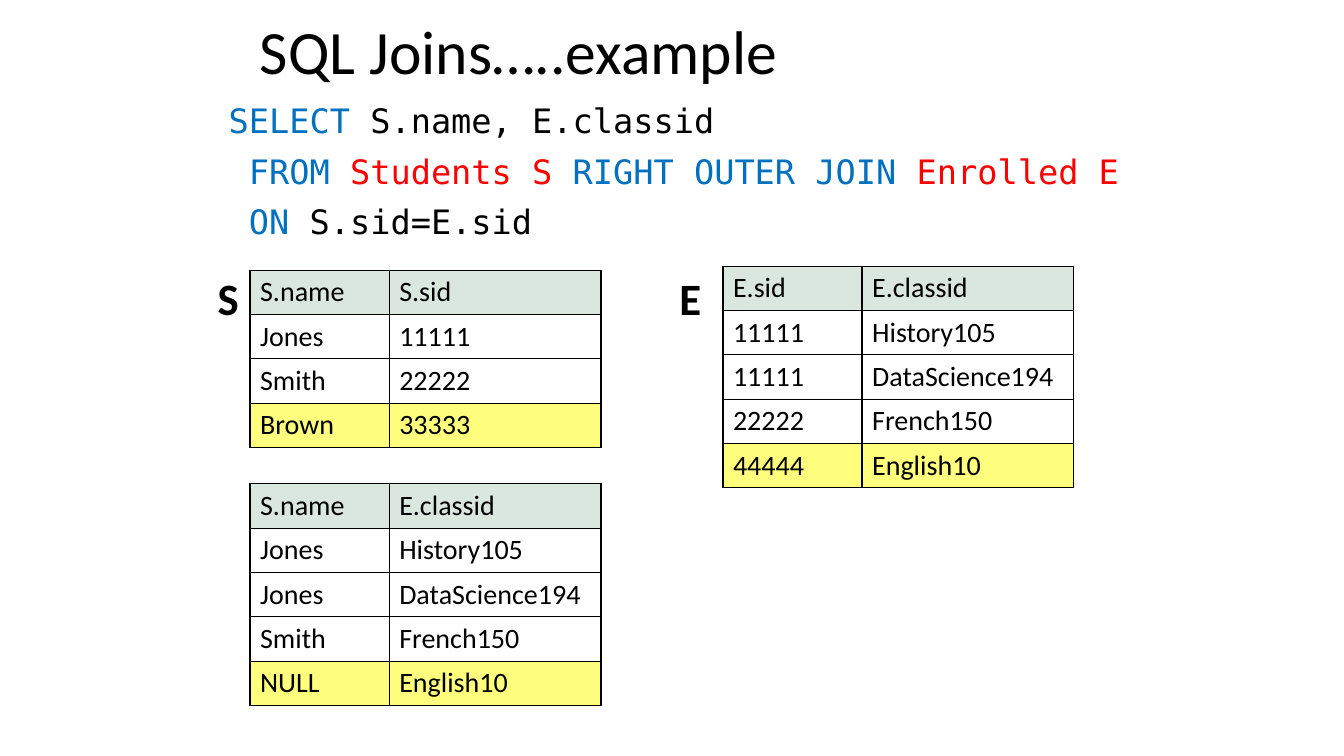
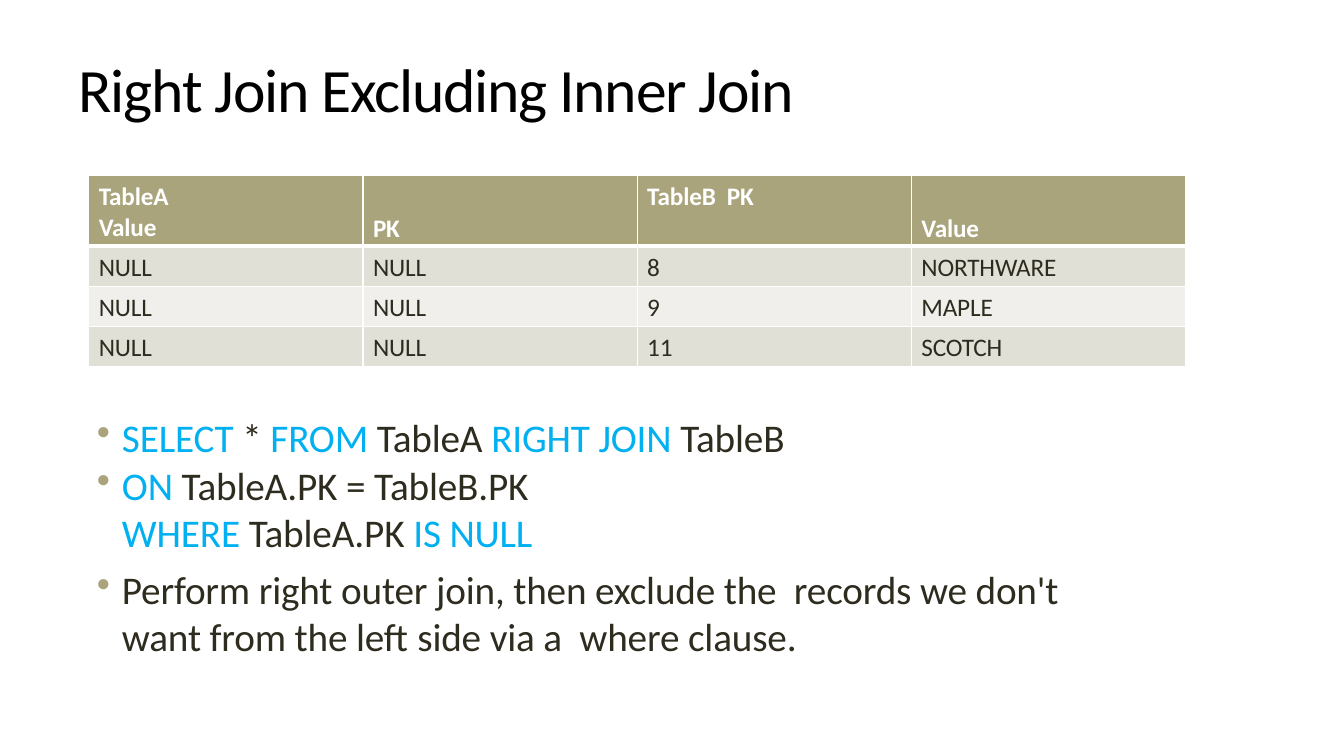
from lxml import etree
from pptx import Presentation
from pptx.dml.color import RGBColor
from pptx.enum import text
from pptx.oxml.ns import qn
from pptx.util import Pt

PX = 9144  # one hundredth of an inch
FONT, MONO = "Calibri", "DejaVu Sans Mono"
HUES = {
    "black": "000000", "white": "FFFFFF", "blue": "0070C0", "red": "FF0000",
    "sky": "00B0F0", "ink": "2E2B1F", "khaki": "A9A47B", "mint": "D9E7DF",
    "gold": "FFFF7D", "sand": "E1E0D6", "pale": "F0EFEB",
}
TOP, MID, LOW = (text.MSO_ANCHOR.TOP, text.MSO_ANCHOR.MIDDLE,
                 text.MSO_ANCHOR.BOTTOM)


def rgb(hue):
    return RGBColor.from_string(HUES[hue])


def style(run, size, hue, font=FONT, bold=False, track=0):
    """Format a run; track is letter spacing in hundredths of a point."""
    face = run.font
    face.name, face.size, face.bold = font, Pt(size), bold
    face.color.rgb = rgb(hue)
    if track:
        run._r.get_or_add_rPr().set("spc", str(track))


def inset(frame, left, top, right, low):
    frame.margin_left, frame.margin_top = left * PX, top * PX
    frame.margin_right, frame.margin_bottom = right * PX, low * PX


def edge(cell, side, hue, width):
    """Draw one cell border; side is L, R, T or B."""
    line = etree.SubElement(cell._tc.get_or_add_tcPr(), qn("a:ln" + side),
                            w=str(Pt(width)))
    fill = etree.SubElement(line, qn("a:solidFill"))
    etree.SubElement(fill, qn("a:srgbClr"), val=HUES[hue])


class Deck:
    def __init__(self):
        self.prs = Presentation()
        self.prs.slide_width, self.prs.slide_height = 1333 * PX, 750 * PX

    def page(self):
        self.slide = self.prs.slides.add_slide(self.prs.slide_layouts[6])

    def box(self, left, top, width, height, wrap=True):
        frame = self.slide.shapes.add_textbox(
            left * PX, top * PX, width * PX, height * PX).text_frame
        frame.word_wrap = wrap
        return frame

    def title(self, words, left, top, width, height, pad=0, track=0):
        frame = self.box(left, top, width, height)
        frame.vertical_anchor = MID
        inset(frame, pad, 1, pad, 0)
        frame.text = words
        frame.paragraphs[0].line_spacing = 0.9
        style(frame.paragraphs[0].runs[0], 44, "black", track=track)

    def label(self, words, left, top):
        frame = self.box(left, top, 42, 64, wrap=False)
        frame.text = words
        style(frame.paragraphs[0].runs[0], 32, "black", bold=True)

    def lines(self, frame, rows, size, font=FONT, track=0):
        """Write one paragraph per row of (words, hue) and return them."""
        paras = []
        for i, row in enumerate(rows):
            para = frame.add_paragraph() if i else frame.paragraphs[0]
            for words, hue in row:
                run = para.add_run()
                run.text = words
                style(run, size, hue, font, track=track)
            paras.append(para)
        return paras

    def code(self, rows, left, top, width, height):
        paras = self.lines(self.box(left, top, width, height), rows, 24, MONO)
        for i, para in enumerate(paras):
            para.line_spacing = 0.9
            para.space_before = Pt(10 if i else 0)

    def list(self, rows, left, top, width, height):
        """Rows of (bullet?, space before, runs)."""
        frame = self.box(left, top, width, height)
        inset(frame, 0, 1, 0, 0)
        paras = self.lines(frame, [runs for _, _, runs in rows], 28, track=-10)
        for para, (dot, gap, _) in zip(paras, rows):
            props = para._p.get_or_add_pPr()
            props.set("marL", str(26 * PX))
            props.set("indent", str(-25 * PX if dot else 0))
            if dot:
                tint = etree.SubElement(props, qn("a:buClr"))
                etree.SubElement(tint, qn("a:srgbClr"), val=HUES["khaki"])
                etree.SubElement(props, qn("a:buChar"), char="•")
            para.space_before = Pt(gap)

    def table(self, left, top, cols, tall, rows):
        """Add a plain table and yield (row, column, cell) with text set."""
        grid = self.slide.shapes.add_table(
            len(rows), len(cols), left * PX, top * PX,
            sum(cols) * PX, sum(tall) * PX).table
        grid.first_row = grid.horz_banding = False
        for col, width in zip(grid.columns, cols):
            col.width = width * PX
        for line, height in zip(grid.rows, tall):
            line.height = height * PX
        for r, row in enumerate(rows):
            for c, words in enumerate(row):
                cell = grid.cell(r, c)
                cell.text_frame.text = words
                yield r, c, cell

    def data(self, left, top, rows):
        """Black-ruled table with a tinted head and a marked last row."""
        last = len(rows) - 1
        fills = {0: "mint", last: "gold"}
        for r, _, cell in self.table(left, top, [138, 210],
                                     [44] * len(rows), rows):
            for side in "LRTB":
                edge(cell, side, "black", 1)
            if r in fills:
                cell.fill.solid()
                cell.fill.fore_color.rgb = rgb(fills[r])
            else:
                cell.fill.background()
            style(cell.text_frame.paragraphs[0].runs[0], 20, "black")

    def bands(self, left, top, rows):
        """White-ruled table with a khaki head and banded rows."""
        tall = [70] + [40] * (len(rows) - 1)
        for r, c, cell in self.table(left, top, [272] * 4, tall, rows):
            head = r == 0
            for side in "LRTB":
                thick = (r, side) in ((0, "B"), (1, "T"))
                edge(cell, side, "white", 3 if thick else 1)
            cell.fill.solid()
            cell.fill.fore_color.rgb = rgb(
                "khaki" if head else "sand" if r % 2 else "pale")
            inset(cell, 10, 6, 0, 2)
            cell.vertical_anchor = LOW if head and c % 2 else TOP
            for run in cell.text_frame.paragraphs[0].runs:
                style(run, 18, "white" if head else "ink", bold=head,
                      track=-10)


def main():
    deck = Deck()

    deck.page()
    deck.title("SQL Joins…..example", 248, 8, 848, 91, pad=10)
    deck.code([
        [("SELECT", "blue"), (" S.name, E.classid", "black")],
        [(" FROM ", "blue"), ("Students S ", "red"),
         ("RIGHT OUTER JOIN ", "blue"), ("Enrolled E", "red")],
        [(" ON ", "blue"), ("S.sid=E.sid", "black")],
    ], 217, 99, 919, 160)
    deck.data(248, 268, [("S.name", "S.sid"), ("Jones", "11111"),
                         ("Smith", "22222"), ("Brown", "33333")])
    deck.data(717, 264, [("E.sid", "E.classid"), ("11111", "History105"),
                         ("11111", "DataScience194"), ("22222", "French150"),
                         ("44444", "English10")])
    deck.data(248, 480, [("S.name", "E.classid"), ("Jones", "History105"),
                         ("Jones", "DataScience194"), ("Smith", "French150"),
                         ("NULL", "English10")])
    deck.label("E", 664, 264)
    deck.label("S", 206, 264)

    deck.page()
    deck.title("Right Join Excluding Inner Join", 78, 53, 1058, 76, track=-85)
    deck.list([
        (True, 0, [("SELECT ", "sky"), ("* ", "ink"), ("FROM ", "sky"),
                   ("TableA ", "ink"), ("RIGHT JOIN ", "sky"),
                   ("TableB", "ink")]),
        (True, 1, [("ON ", "sky"), ("TableA.PK = TableB.PK", "ink")]),
        (False, 0, [("WHERE ", "sky"), ("TableA.PK ", "ink"),
                    ("IS NULL", "sky")]),
        (True, 6.8, [("Perform right outer join, then exclude the  records "
                      "we don't want from the left side via a  where clause.",
                      "ink")]),
    ], 95, 409, 991, 247)
    deck.bands(88, 174, [("TableA\vValue", "PK", "TableB  PK", "Value"),
                         ("NULL", "NULL", "8", "NORTHWARE"),
                         ("NULL", "NULL", "9", "MAPLE"),
                         ("NULL", "NULL", "11", "SCOTCH")])

    deck.prs.save("out.pptx")


if __name__ == "__main__":
    main()
